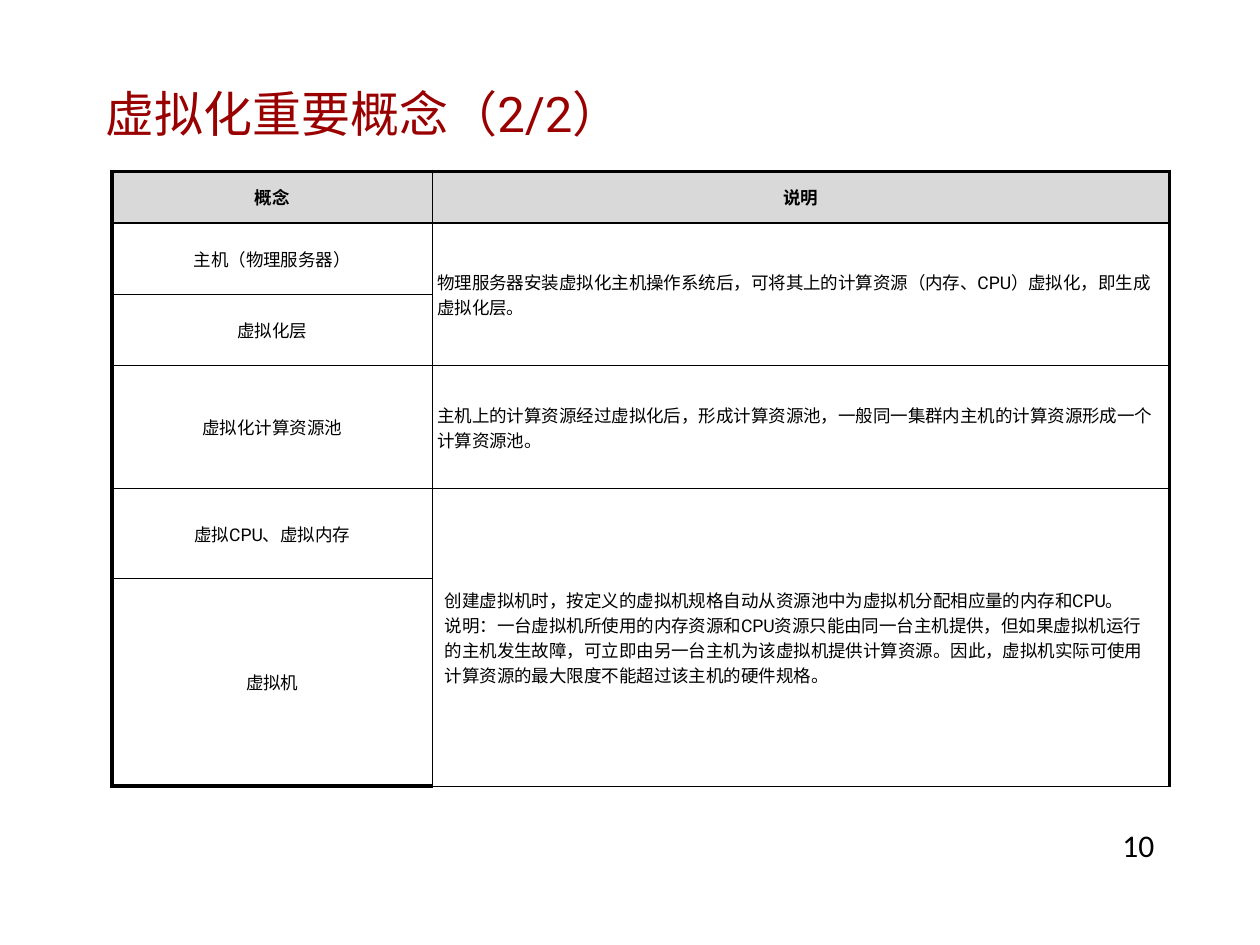
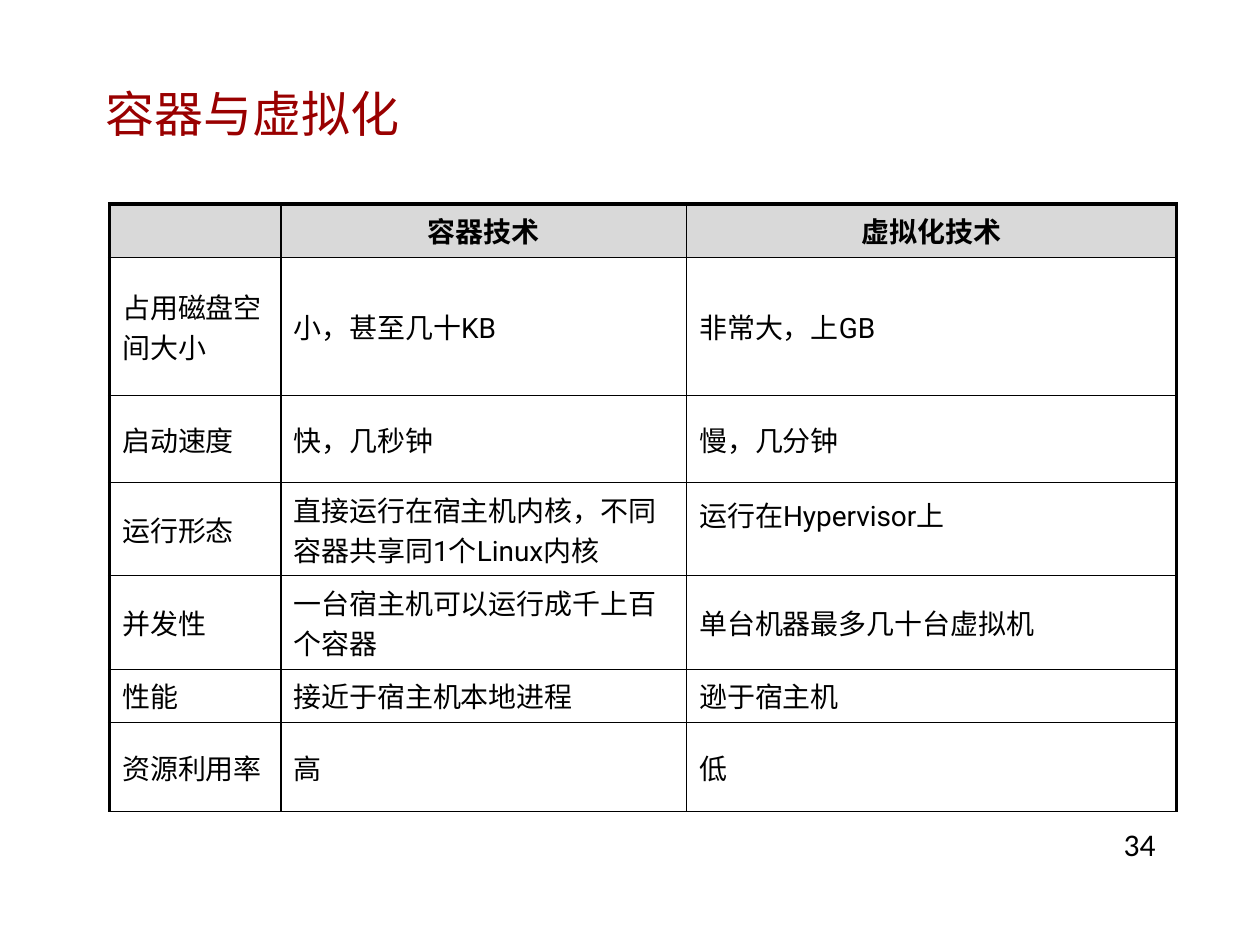
from dataclasses import dataclass, field

from lxml import etree
from pptx import Presentation
from pptx.dml.color import RGBColor
from pptx.enum.text import MSO_ANCHOR as Anchor, PP_ALIGN as Align
from pptx.oxml.ns import qn
from pptx.util import Inches, Pt

# Shared look
BLACK, WHITE, GREY, DARK_RED = "000000", "FFFFFF", "D9D9D9", "990000"
BODY_FONT, NUMBER_FONT = "Roboto", "Calibri"
THICK, THIN = 2.25, 0.75
TIGHT = (0.04, 0.04, 0.04, 0.04)
REGULAR = (0.1, 0.05, 0.1, 0.05)


@dataclass
class CellSpec:
    """Text of a cell, one string a paragraph, with its layout."""
    paragraphs: list[str]
    align: Align = Align.LEFT
    margins: tuple[float, float, float, float] = REGULAR
    rows: int = 1


@dataclass
class TableSpec:
    left: float
    top: float
    columns: list[float]
    rows: list[float]
    size: float
    bottom_line: float
    header: list[str]
    cells: dict[tuple[int, int], CellSpec] = field(default_factory=dict)


@dataclass
class SlideSpec:
    title: str
    number: str
    number_at: tuple[float, float]
    table: TableSpec


def color(value: str) -> RGBColor:
    return RGBColor.from_string(value)


def add_text(paragraph, text: str, size: float, font: str = BODY_FONT,
             fill: str = BLACK, bold: bool = False) -> None:
    run = paragraph.add_run()
    run.text = text
    run.font.name, run.font.size, run.font.bold = font, Pt(size), bold
    run.font.color.rgb = color(fill)


def set_margins(target, margins: tuple[float, float, float, float]) -> None:
    for side, value in zip(("left", "top", "right", "bottom"), margins):
        setattr(target, f"margin_{side}", Inches(value))


def set_borders(cell, widths: dict[str, float]) -> None:
    """Draw the L, R, T and B lines, which must precede the cell fill."""
    properties = cell._tc.get_or_add_tcPr()
    for index, side in enumerate("LRTB"):
        line = etree.Element(qn(f"a:ln{side}"), w=str(Pt(widths[side])))
        solid = etree.SubElement(line, qn("a:solidFill"))
        etree.SubElement(solid, qn("a:srgbClr"), val=BLACK)
        properties.insert(index, line)


def write_cell(cell, content: CellSpec, size: float, bold: bool) -> None:
    cell.vertical_anchor = Anchor.MIDDLE
    set_margins(cell, content.margins)
    frame = cell.text_frame
    for index, text in enumerate(content.paragraphs):
        paragraph = frame.add_paragraph() if index else frame.paragraphs[0]
        paragraph.alignment = content.align
        add_text(paragraph, text, size, bold=bold)


def add_table(slide, layout: TableSpec) -> None:
    row_count, column_count = len(layout.rows), len(layout.columns)
    table = slide.shapes.add_table(
        row_count, column_count, Inches(layout.left), Inches(layout.top),
        Inches(sum(layout.columns)), Inches(sum(layout.rows))).table
    table.horz_banding = False
    for column, width in zip(table.columns, layout.columns):
        column.width = Inches(width)
    for row, height in zip(table.rows, layout.rows):
        row.height = Inches(height)

    # Fills and lines
    for r in range(row_count):
        for c in range(column_count):
            cell = table.cell(r, c)
            cell.fill.solid()
            cell.fill.fore_color.rgb = color(WHITE if r else GREY)
            set_borders(cell, {
                "L": THIN if c else THICK,
                "R": THICK if c == column_count - 1 else THIN,
                "T": THIN if r else THICK,
                "B": layout.bottom_line if r == row_count - 1 else THIN,
            })

    # Text
    for c, text in enumerate(layout.header):
        if text:
            write_cell(table.cell(0, c), CellSpec([text], Align.CENTER), layout.size, True)
    for (r, c), content in layout.cells.items():
        cell = table.cell(r, c)
        if content.rows > 1:
            cell.merge(table.cell(r + content.rows - 1, c))
        write_cell(cell, content, layout.size, False)


def add_slide(presentation, content: SlideSpec) -> None:
    slide = presentation.slides.add_slide(presentation.slide_layouts[5])

    # Title
    title = slide.shapes.title
    title.left, title.top = Inches(0.75), Inches(0.42)
    title.width, title.height = Inches(8.66), Inches(0.95)
    frame = title.text_frame
    frame.vertical_anchor = Anchor.MIDDLE
    set_margins(frame, (0.09, 0.04, 0.09, 0.04))
    frame.paragraphs[0].alignment = Align.LEFT
    add_text(frame.paragraphs[0], content.title, 28, fill=DARK_RED)

    add_table(slide, content.table)

    # Page number
    left, top = content.number_at
    box = slide.shapes.add_textbox(Inches(left), Inches(top), Inches(1.66), Inches(0.36))
    box.text_frame.word_wrap = True
    add_text(box.text_frame.paragraphs[0], content.number, 18, NUMBER_FONT)


def concept_table() -> TableSpec:
    names = ["主机（物理服务器）", "虚拟化层", "虚拟化计算资源池", "虚拟CPU、虚拟内存", "虚拟机"]
    cells = {(r, 0): CellSpec([name], Align.CENTER, TIGHT)
             for r, name in enumerate(names, start=1)}
    cells[1, 1] = CellSpec(
        ["物理服务器安装虚拟化主机操作系统后，可将其上的计算资源（内存、CPU）虚拟化，即生成虚拟化层。"],
        margins=TIGHT, rows=2)
    cells[3, 1] = CellSpec(
        ["主机上的计算资源经过虚拟化后，形成计算资源池，一般同一集群内主机的计算资源形成一个计算资源池。"],
        margins=TIGHT)
    cells[4, 1] = CellSpec(
        ["创建虚拟机时，按定义的虚拟机规格自动从资源池中为虚拟机分配相应量的内存和CPU。",
         "说明：一台虚拟机所使用的内存资源和CPU资源只能由同一台主机提供，但如果虚拟机运行的主机发生故障，"
         "可立即由另一台主机为该虚拟机提供计算资源。因此，虚拟机实际可使用计算资源的最大限度不能超过该主机的硬件规格。"],
        rows=2)
    return TableSpec(0.89, 1.36, [2.54, 5.85], [0.41, 0.57, 0.56, 0.98, 0.71, 1.65],
                     10, THICK, ["概念", "说明"], cells)


def comparison_table() -> TableSpec:
    rows = [
        ("占用磁盘空间大小", "小，甚至几十KB", "非常大，上GB"),
        ("启动速度", "快，几秒钟", "慢，几分钟"),
        ("运行形态", "直接运行在宿主机内核，不同容器共享同1个Linux内核", "运行在Hypervisor上"),
        ("并发性", "一台宿主机可以运行成千上百个容器", "单台机器最多几十台虚拟机"),
        ("性能", "接近于宿主机本地进程", "逊于宿主机"),
        ("资源利用率", "高", "低"),
    ]
    cells = {(r, c): CellSpec([text])
             for r, row in enumerate(rows, start=1) for c, text in enumerate(row)}
    cells[3, 2].margins = (0.1, 0.05, 0.1, 0.29)  # sits above the middle
    return TableSpec(0.87, 1.62, [1.36, 3.22, 3.89], [0.39, 1.1, 0.69, 0.69, 0.69, 0.4, 0.71],
                     16, THIN, ["", "容器技术", "虚拟化技术"], cells)


def main() -> None:
    presentation = Presentation()
    presentation.slide_width, presentation.slide_height = Inches(10), Inches(7.5)
    for content in (
        SlideSpec("虚拟化重要概念（2/2）", "10", (8.81, 6.51), concept_table()),
        SlideSpec("容器与虚拟化", "34", (8.82, 6.5), comparison_table()),
    ):
        add_slide(presentation, content)
    presentation.save("out.pptx")


if __name__ == "__main__":
    main()
